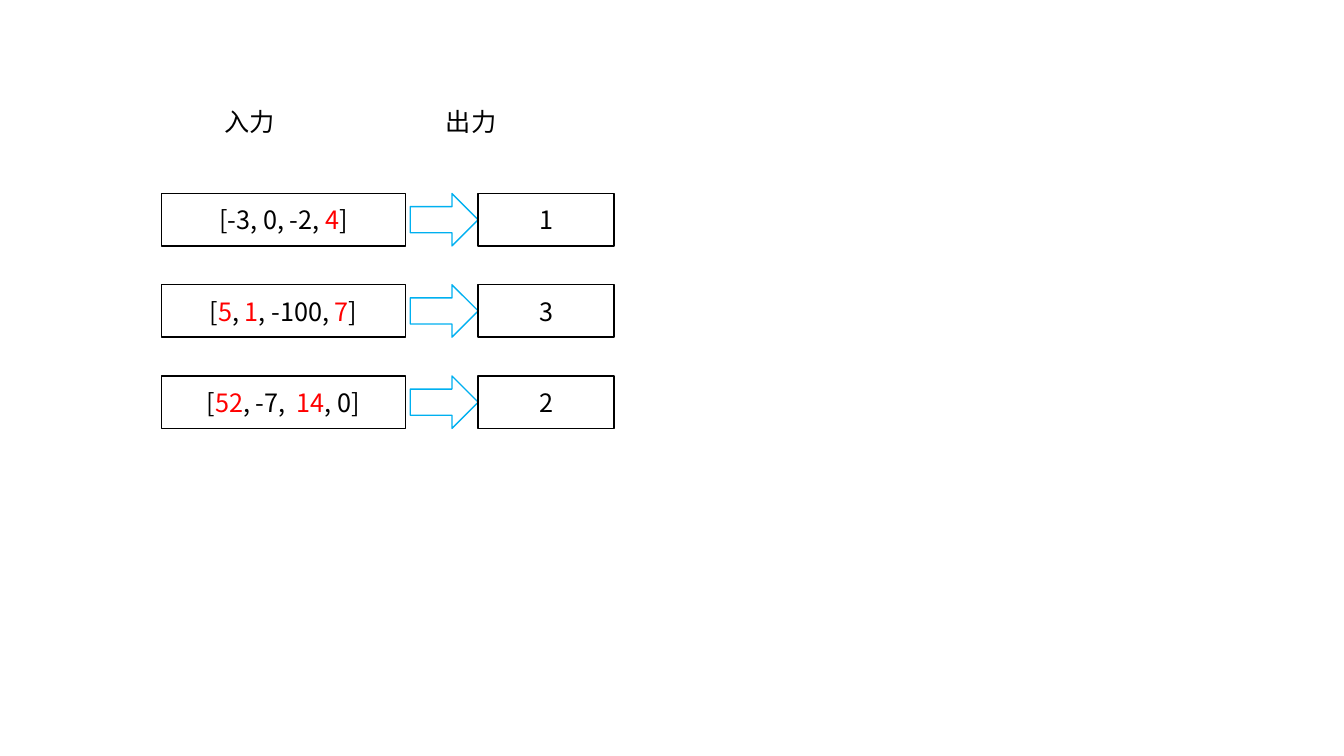
from lxml.etree import SubElement
from pptx import Presentation
from pptx.dml.color import RGBColor
from pptx.enum.shapes import MSO_SHAPE
from pptx.enum.text import MSO_ANCHOR, PP_ALIGN
from pptx.oxml.ns import qn
from pptx.util import Inches, Pt

COLORS = {"text": "000000", "positive": "FF0000", "arrow": "00B0F0", "fill": "FFFFFF"}
FONT = "Noto Sans CJK JP"

deck = Presentation()
deck.slide_width, deck.slide_height = Inches(13.33), Inches(7.5)
COLUMN, ROW = deck.slide_width / 100, deck.slide_height / 100

# Numbers between bars are positive and stand out; the output counts them.
EXAMPLES = [
    ("[-3, 0, -2, |4|]", "1"),
    ("[|5|, |1|, -100, |7|]", "3"),
    ("[|52|, -7,  |14|, 0]", "2"),
]


def color(name):
    """Look up a named colour."""
    return RGBColor.from_string(COLORS[name])


def place(box):
    """Turn (left, top, width, height) in grid columns and rows into lengths."""
    left, top, width, height = box
    return [round(n) for n in (left * COLUMN, top * ROW, width * COLUMN, height * ROW)]


def write(shape, text, size=18, align=PP_ALIGN.CENTER, anchor=MSO_ANCHOR.MIDDLE):
    """Write text into a shape, colouring the parts between bars."""
    frame = shape.text_frame
    frame.word_wrap = True
    frame.vertical_anchor = anchor
    para = frame.paragraphs[0]
    para.alignment = align
    for index, part in enumerate(text.split("|")):
        span = para.add_run()
        span.text = part
        span.font.size = Pt(size)
        span.font.name = FONT
        span.font.color.rgb = color("positive" if index % 2 else "text")
        SubElement(span.font._element, qn("a:ea"), typeface=FONT)


def add_outlined(page, kind, box, line):
    """Add a white shape with a thin outline."""
    shape = page.shapes.add_shape(kind, *place(box))
    shape.shadow.inherit = False
    shape.fill.solid()
    shape.fill.fore_color.rgb = color("fill")
    shape.line.color.rgb = color(line)
    shape.line.width = Pt(1)
    return shape


def add_headings(page, box):
    """Name the input and output columns."""
    left, top, width, height = box
    for share, heading in ((0, "入力"), (0.49, "出力")):
        label = page.shapes.add_textbox(*place((left + share * width, top, 10, height)))
        write(label, heading, align=PP_ALIGN.LEFT, anchor=MSO_ANCHOR.TOP)


def add_example(page, box, numbers, count):
    """Draw one input, its arrow and its output."""
    left, top, width, height = box
    parts = [
        (MSO_SHAPE.RECTANGLE, 0, 0.54, "text", numbers),
        (MSO_SHAPE.RIGHT_ARROW, 0.55, 0.15, "arrow", None),
        (MSO_SHAPE.RECTANGLE, 0.7, 0.3, "text", count),
    ]
    for kind, start, share, line, text in parts:
        part_box = (left + start * width, top, share * width, height)
        shape = add_outlined(page, kind, part_box, line)
        if text:
            write(shape, text)


def add_examples_slide(deck):
    """Build the slide of inputs and outputs."""
    page = deck.slides.add_slide(deck.slide_layouts[6])
    add_headings(page, (15.98, 13.47, 33.6, 5.33))
    for index, (numbers, count) in enumerate(EXAMPLES):
        add_example(page, (12, 25.6 + index * 12.07, 33.68, 6.93), numbers, count)


add_examples_slide(deck)
deck.save("out.pptx")
